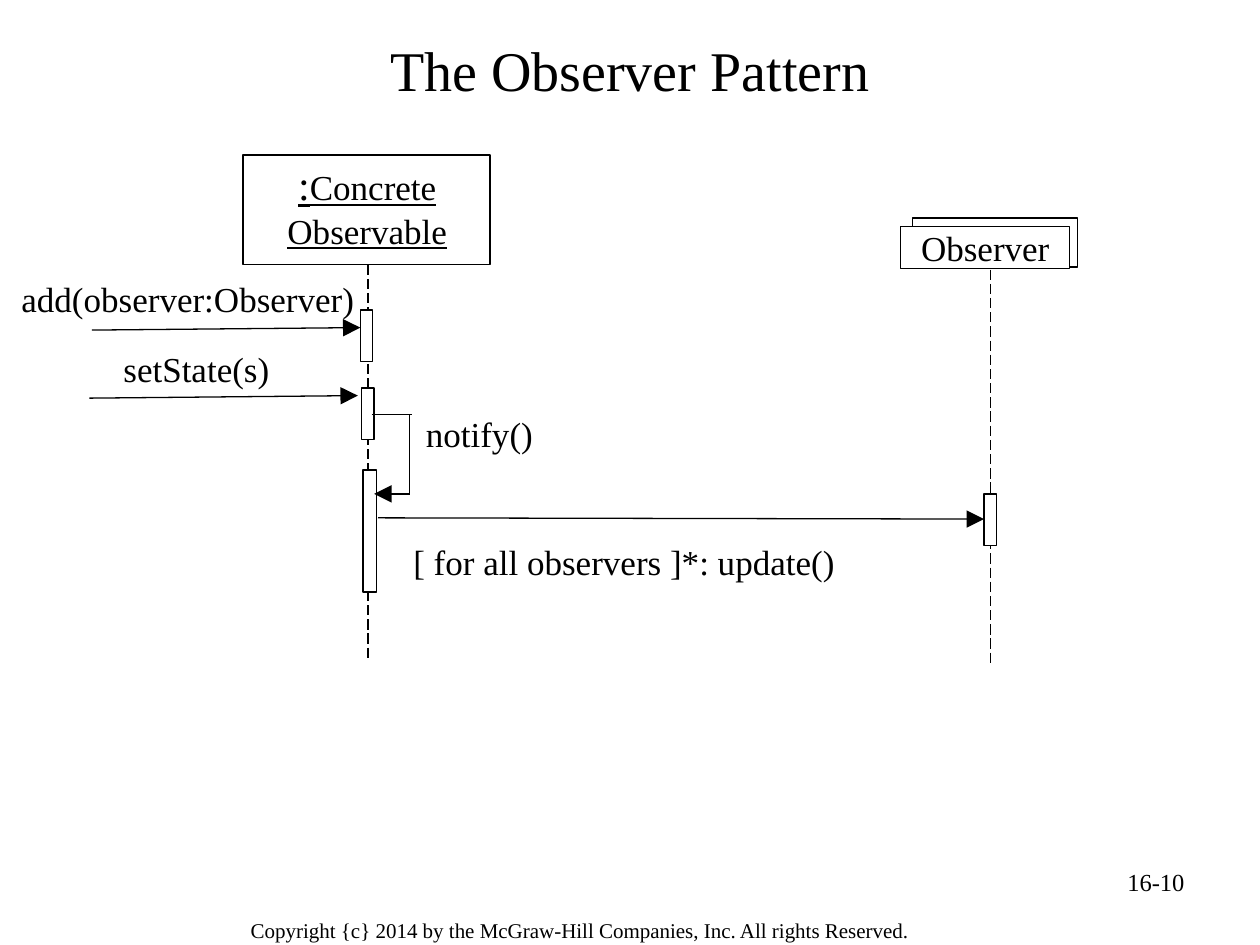
from dataclasses import dataclass

from pptx import Presentation
from pptx.dml.color import RGBColor
from pptx.enum.dml import MSO_LINE
from pptx.enum.shapes import MSO_CONNECTOR, MSO_SHAPE
from pptx.enum.text import MSO_ANCHOR, MSO_AUTO_SIZE, PP_ALIGN
from pptx.oxml.ns import qn
from pptx.util import Emu, Inches, Pt
from lxml.etree import SubElement

COLORS = {"ink": "000000", "paper": "FFFFFF"}
FONT = "Times New Roman"
COLUMNS, ROWS = 10, 7.5
SLIDE_W, SLIDE_H = Inches(10), Inches(7.5)
LIFELINE_H = 3.15
BAR_W, BAR_H = 0.1, 0.41
LABEL_H = 0.33


@dataclass
class Box:
    """A place on the grid, in columns and rows."""
    left: float
    top: float
    width: float
    height: float
    filled: bool = True


@dataclass
class Line:
    x1: float
    y1: float
    x2: float
    y2: float
    arrow: bool = False
    dashed: bool = False


@dataclass
class Label:
    text: str
    box: Box
    size: float = 20
    align: PP_ALIGN = PP_ALIGN.LEFT
    margins: tuple[float, float] = (0, 0)
    wrap: bool = False


def col(n: float) -> Emu:
    return Emu(round(SLIDE_W * n / COLUMNS))


def row(n: float) -> Emu:
    return Emu(round(SLIDE_H * n / ROWS))


def color(name: str) -> RGBColor:
    return RGBColor.from_string(COLORS[name])


def place(box: Box) -> tuple[Emu, Emu, Emu, Emu]:
    return col(box.left), row(box.top), col(box.width), row(box.height)


def style(paragraph, size: float, align: PP_ALIGN) -> None:
    paragraph.alignment = align
    paragraph.font.name = FONT
    paragraph.font.size = Pt(size)
    paragraph.font.color.rgb = color("ink")


def draw_box(slide, box: Box) -> None:
    shape = slide.shapes.add_shape(MSO_SHAPE.RECTANGLE, *place(box))
    shape.shadow.inherit = False
    if box.filled:
        shape.fill.solid()
        shape.fill.fore_color.rgb = color("paper")
    else:
        shape.fill.background()
    shape.line.color.rgb = color("ink")
    shape.line.width = Pt(0.75)


def draw_line(slide, line: Line) -> None:
    connector = slide.shapes.add_connector(
        MSO_CONNECTOR.STRAIGHT,
        col(line.x1), row(line.y1), col(line.x2), row(line.y2))
    connector.line.color.rgb = color("ink")
    connector.line.width = Pt(0.75)
    if line.dashed:
        connector.line.dash_style = MSO_LINE.LONG_DASH
    properties = connector.element.spPr
    if line.arrow:
        SubElement(properties.find(qn("a:ln")), qn("a:tailEnd"),
                   type="triangle", w="lg", len="lg")
    SubElement(properties, qn("a:effectLst"))


def draw_label(slide, label: Label):
    frame = slide.shapes.add_textbox(*place(label.box)).text_frame
    frame.word_wrap = label.wrap
    frame.auto_size = MSO_AUTO_SIZE.SHAPE_TO_FIT_TEXT
    side, top = label.margins
    frame.margin_left = frame.margin_right = col(side)
    frame.margin_top = frame.margin_bottom = row(top)
    paragraph = frame.paragraphs[0]
    paragraph.text = label.text
    style(paragraph, label.size, label.align)
    return paragraph


LIFELINES = [
    Line(x, top, x, top + LIFELINE_H, dashed=True)
    for x, top in ((2.92, 2.1), (7.86, 2.14))
]
PARTICIPANTS = [
    Box(1.93, 1.23, 1.96, 0.87, filled=False),
    Box(7.24, 1.73, 1.31, 0.39, filled=False),
    Box(7.15, 1.8, 1.34, 0.33),
]
ACTIVATIONS = [
    Box(2.86, 2.46, BAR_W, BAR_H),
    Box(2.87, 3.08, BAR_W, BAR_H),
    Box(2.88, 3.73, 0.11, 0.97),
    Box(7.81, 3.92, BAR_W, BAR_H),
]
MESSAGES = [
    Line(0.73, 2.62, 2.86, 2.6, arrow=True),
    Line(0.71, 3.16, 2.84, 3.14, arrow=True),
    Line(2.95, 3.29, 3.27, 3.29),
    Line(3.25, 3.29, 3.25, 3.92),
    Line(3.25, 3.92, 2.97, 3.92, arrow=True),
    Line(3, 4.11, 7.81, 4.12, arrow=True),
]
LABELS = [
    Label("Observer", Box(7.15, 1.8, 1.34, LABEL_H),
          align=PP_ALIGN.CENTER, wrap=True),
    Label("add(observer:Observer)", Box(0.17, 2.2, 2.66, LABEL_H)),
    Label("setState(s)", Box(0.98, 2.76, 1.16, LABEL_H)),
    Label("notify()", Box(3.38, 3.27, 0.85, LABEL_H)),
    Label("[ for all observers ]*: update()", Box(3.28, 4.29, 3.35, LABEL_H)),
    Label("16-10", Box(7.17, 6.83, 2.33, 0.52), 14, PP_ALIGN.RIGHT,
          (0.1, 0.05), True),
    Label("Copyright {c} 2014 by the McGraw-Hill Companies, Inc. "
          "All rights Reserved.", Box(1.88, 7.22, 6.19, 0.31), 12,
          margins=(0.11, 0.06), wrap=True),
]
OBSERVABLE = Label("", Box(1.93, 1.26, 1.97, 0.73), align=PP_ALIGN.CENTER,
                   wrap=True)
OBSERVABLE_RUNS = [(":", 24), ("Concrete", 20), (" ", 24), ("Observable", 20)]


def main() -> None:
    deck = Presentation()
    deck.slide_width, deck.slide_height = SLIDE_W, SLIDE_H
    slide = deck.slides.add_slide(deck.slide_layouts[5])

    # Title
    title = slide.shapes.title
    title.left, title.top, title.width, title.height = place(
        Box(0.5, 0.17, 9, 0.75))
    title.text_frame.text = "The Observer Pattern"
    title.text_frame.vertical_anchor = MSO_ANCHOR.MIDDLE
    style(title.text_frame.paragraphs[0], 32, PP_ALIGN.CENTER)

    # Sequence diagram: lifelines lie behind the boxes
    for lifeline in LIFELINES:
        draw_line(slide, lifeline)
    for box in PARTICIPANTS + ACTIVATIONS:
        draw_box(slide, box)
    for message in MESSAGES:
        draw_line(slide, message)

    # Wording, page number and copyright line
    for label in LABELS:
        draw_label(slide, label)
    observable_name = draw_label(slide, OBSERVABLE)
    observable_name.font.underline = True
    for text, size in OBSERVABLE_RUNS:
        run = observable_name.add_run()
        run.text = text
        run.font.size = Pt(size)

    deck.save("out.pptx")


if __name__ == "__main__":
    main()
